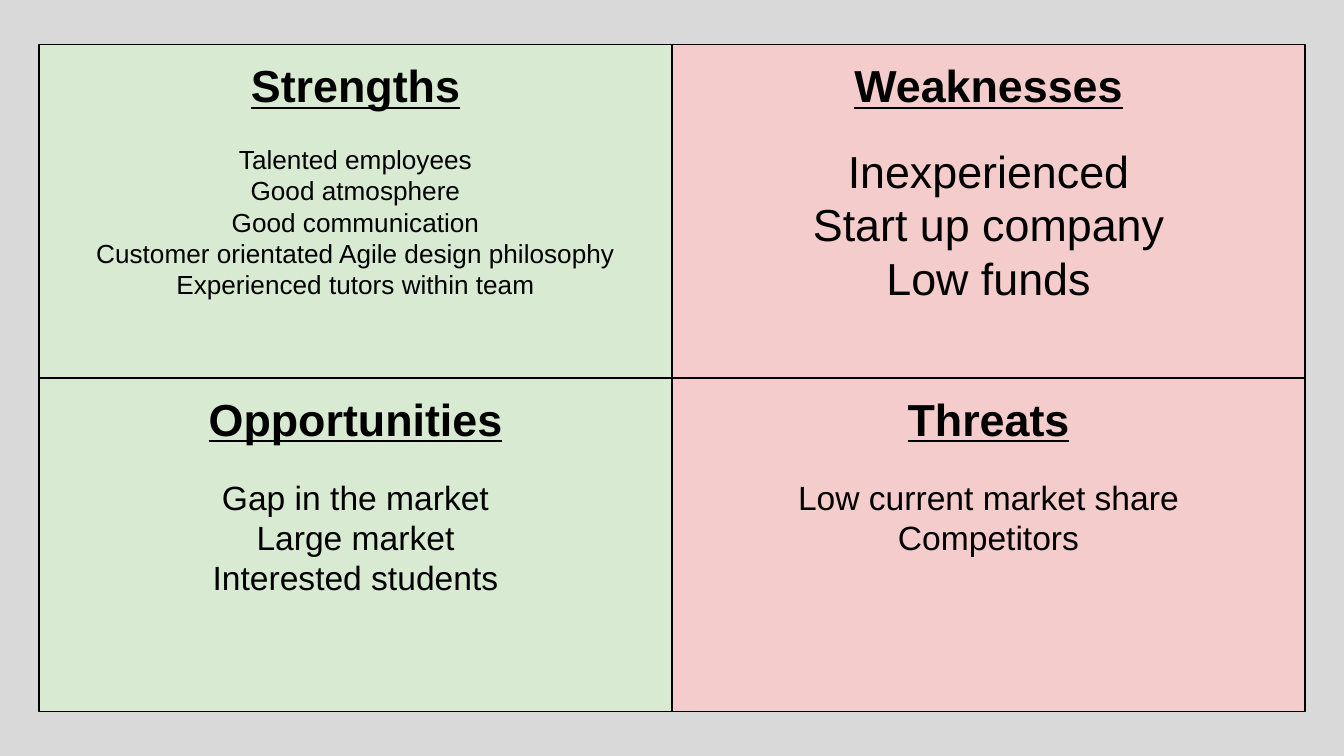
from pptx import Presentation
from pptx.dml.color import RGBColor
from pptx.enum.shapes import MSO_SHAPE
from pptx.enum.text import MSO_ANCHOR, PP_ALIGN
from pptx.util import Inches, Pt

COLORS = {
    "background": "D9D9D9",
    "helpful": "D9EAD3",
    "harmful": "F4CCCC",
    "ink": "000000",
}
FONT = "Arial"
PAGE_WIDTH = Inches(10)
PAGE_HEIGHT = PAGE_WIDTH * 9 // 16
QUADRANT_WIDTH, QUADRANT_HEIGHT = Inches(4.71), Inches(2.48)

QUADRANTS = [
    ("Strengths", 14, [
        "Talented employees",
        "Good atmosphere",
        "Good communication",
        "Customer orientated Agile design philosophy",
        "Experienced tutors within team",
    ]),
    ("Weaknesses", 24, ["Inexperienced", "Start up company", "Low funds"]),
    ("Opportunities", 18, ["Gap in the market", "Large market", "Interested students"]),
    ("Threats", 18, ["Low current market share", "Competitors"]),
]


def color(name):
    return RGBColor.from_string(COLORS[name])


def style_paragraph(paragraph, text, size, heading=False):
    paragraph.text = text
    paragraph.alignment = PP_ALIGN.CENTER
    font = paragraph.font
    font.name = FONT
    font.size = Pt(size)
    font.bold = heading
    font.underline = heading
    font.color.rgb = color("ink")
    if heading:
        paragraph.space_after = Pt(16.8)


def add_quadrant(page, left, top, width, height, fill, title, size, points):
    box = page.shapes.add_shape(MSO_SHAPE.RECTANGLE, left, top, width, height)
    box.shadow.inherit = False
    box.fill.solid()
    box.fill.fore_color.rgb = color(fill)
    box.line.color.rgb = color("ink")
    box.line.width = Pt(0.75)

    frame = box.text_frame
    frame.word_wrap = True
    frame.vertical_anchor = MSO_ANCHOR.TOP
    frame.margin_left = frame.margin_right = Inches(0.1)
    frame.margin_top = frame.margin_bottom = Inches(0.1)
    style_paragraph(frame.paragraphs[0], title, 24, heading=True)
    for point in points:
        style_paragraph(frame.add_paragraph(), point, size)


def add_swot_grid(page, left, top, width, height):
    for index, (title, size, points) in enumerate(QUADRANTS):
        row, column = divmod(index, 2)
        add_quadrant(
            page, left + column * width, top + row * height, width, height,
            ("helpful", "harmful")[column], title, size, points,
        )


def main():
    deck = Presentation()
    deck.slide_width, deck.slide_height = PAGE_WIDTH, PAGE_HEIGHT
    page = deck.slides.add_slide(deck.slide_layouts[6])
    page.background.fill.solid()
    page.background.fill.fore_color.rgb = color("background")
    left = PAGE_WIDTH // 2 - QUADRANT_WIDTH
    top = PAGE_HEIGHT // 2 - QUADRANT_HEIGHT
    add_swot_grid(page, left, top, QUADRANT_WIDTH, QUADRANT_HEIGHT)
    deck.save("out.pptx")


if __name__ == "__main__":
    main()
